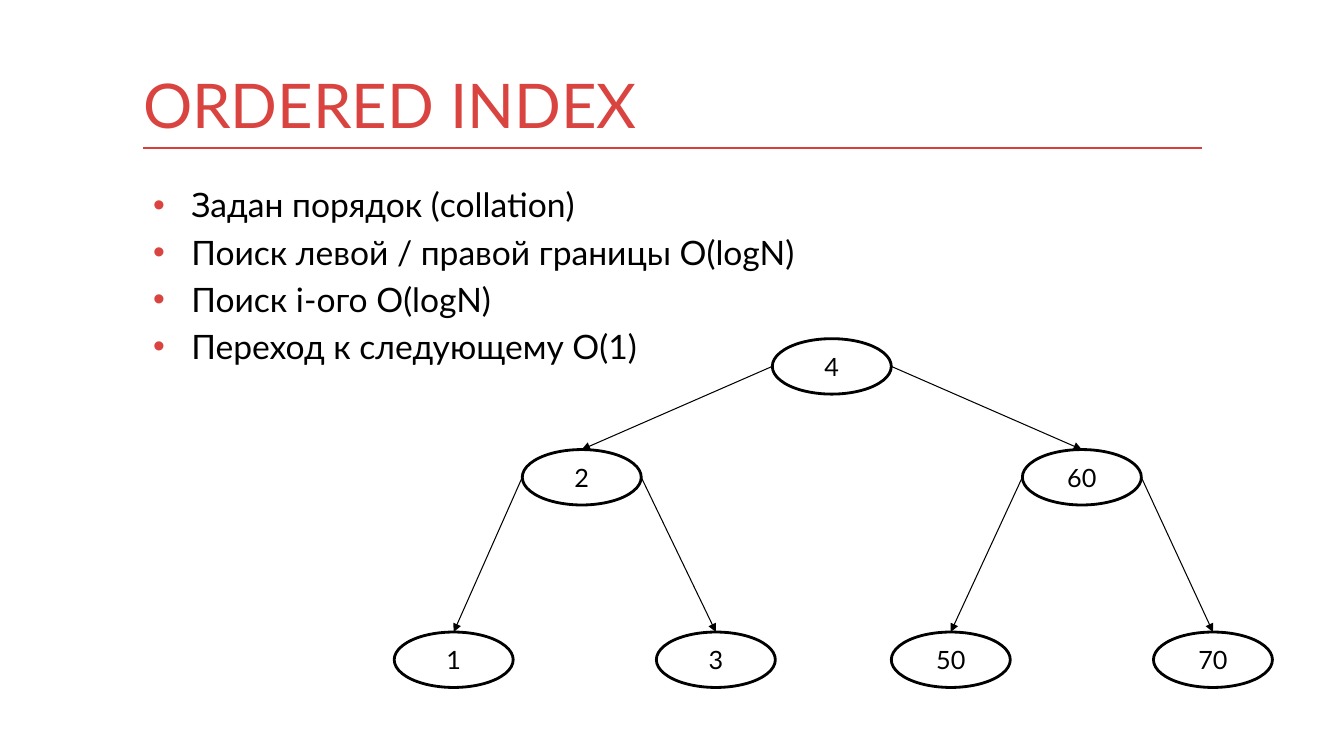
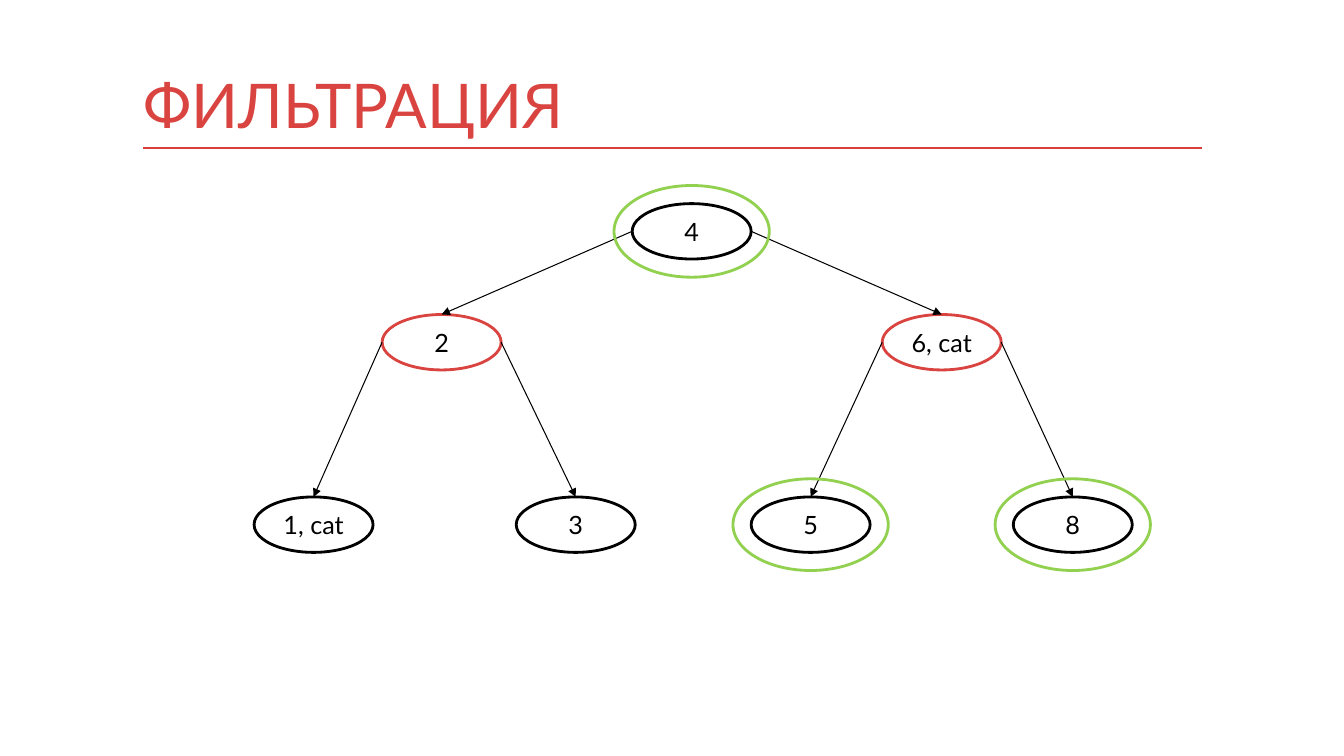
import lxml.etree
import pptx
import pptx.dml.color
import pptx.enum.shapes
import pptx.enum.text
import pptx.oxml.ns
import pptx.util

Inches = pptx.util.Inches
Pt = pptx.util.Pt
Align = pptx.enum.text.PP_ALIGN
Anchor = pptx.enum.text.MSO_ANCHOR

BLACK, WHITE, RED, RULE, GREEN = "000000", "FFFFFF", "D94440", "D83F3B", "92D050"
FONT = "Lato"
LEFT, WIDTH = 1.42, 10.5
NODE_W, NODE_H, RING = 1.18, 0.55, 0.18

SPOTS = [(3.75, 0), (1.27, 1.1), (6.23, 1.1),
         (0, 2.91), (2.6, 2.91), (4.93, 2.91), (7.53, 2.91)]

TITLE = {"word_wrap": True, "vertical_anchor": Anchor.BOTTOM,
         "margin_left": 0, "margin_right": 0,
         "margin_top": Inches(0.07), "margin_bottom": Inches(0.07)}
BODY = {"word_wrap": True, "vertical_anchor": Anchor.TOP}
LABEL = {"word_wrap": True, "vertical_anchor": Anchor.MIDDLE}


def paint(color, code):
    """Give a colour object the RGB value of a hex string."""
    color.rgb = pptx.dml.color.RGBColor.from_string(code)


def apply(target, values):
    """Set each named value on the target."""
    for name, value in values.items():
        setattr(target, name, value)


def add_xml(parent, tag, **attrs):
    """Append a drawing element and return it."""
    return lxml.etree.SubElement(parent, pptx.oxml.ns.qn(tag), attrs)


def write(frame, lines, size, code, form, para):
    """Fill a text frame with one styled paragraph per line."""
    apply(frame, form)
    for i, line in enumerate(lines):
        item = frame.add_paragraph() if i else frame.paragraphs[0]
        apply(item, para)
        run = item.add_run()
        run.text = line
        apply(run.font, {"size": Pt(size), "name": FONT})
        paint(run.font.color, code)


def add_line(slide, start, end, code, width, arrow=False):
    """Draw a straight line, with an arrowhead at its end if asked."""
    line = slide.shapes.add_connector(
        pptx.enum.shapes.MSO_CONNECTOR.STRAIGHT,
        *[Inches(v) for v in (*start, *end)])
    paint(line.line.color, code)
    line.line.width = Pt(width)
    if arrow:
        add_xml(line.line._get_or_add_ln(), "a:tailEnd", type="triangle")
    add_xml(line._element.spPr, "a:effectLst")


def add_oval(slide, box, code, fill=None):
    """Draw an outlined ellipse, hollow unless a fill is given."""
    oval = slide.shapes.add_shape(
        pptx.enum.shapes.MSO_SHAPE.OVAL, *[Inches(v) for v in box])
    oval.shadow.inherit = False
    if fill:
        oval.fill.solid()
        paint(oval.fill.fore_color, fill)
    else:
        oval.fill.background()
    paint(oval.line.color, code)
    oval.line.width = Pt(2)
    return oval


def add_text(slide, box, *style):
    """Place a text box and fill it."""
    area = slide.shapes.add_textbox(*[Inches(v) for v in box])
    write(area.text_frame, *style)
    return area.text_frame


def add_page(deck, title):
    """Add a blank slide with the shared title and rule."""
    slide = deck.slides.add_slide(deck.slide_layouts[6])
    add_line(slide, (LEFT, 1.47), (LEFT + WIDTH, 1.47), RULE, 1)
    add_text(slide, (LEFT, 0.6, WIDTH, 0.87), [title], 44, RED,
             TITLE, {"alignment": Align.LEFT})
    return slide


def add_list(slide, box, lines):
    """Place a list with red bullets and hanging indents."""
    frame = add_text(slide, box, lines, 24, BLACK, BODY,
                     {"alignment": Align.LEFT, "space_before": Pt(4.8)})
    indent = Inches(0.38)
    for item in frame.paragraphs:
        props = item._p.get_or_add_pPr()
        props.set("marL", str(indent))
        props.set("indent", str(-indent))
        add_xml(add_xml(props, "a:buClr"), "a:srgbClr", val=RED)
        add_xml(props, "a:buFont", typeface="Arial")
        add_xml(props, "a:buChar", char="•")


def add_tree(slide, left, top, labels, marked=(), ringed=()):
    """Draw a three-level binary tree from its top left corner."""
    spots = [(left + x, top + y) for x, y in SPOTS]
    for i, (x, y) in enumerate(spots):
        node = add_oval(slide, (x, y, NODE_W, NODE_H),
                        RED if i in marked else BLACK, WHITE)
        write(node.text_frame, [labels[i]], 18, BLACK, LABEL,
              {"alignment": Align.CENTER})
    for i in range(1, len(spots)):
        x, y = spots[(i - 1) // 2]
        side = 0 if i % 2 else NODE_W
        add_line(slide, (x + side, y + NODE_H / 2),
                 (spots[i][0] + NODE_W / 2, spots[i][1]), BLACK, 0.75, True)
    for i in ringed:
        x, y = spots[i]
        add_oval(slide, (x - RING, y - RING,
                         NODE_W + 2 * RING, NODE_H + 2 * RING), GREEN)


def add_index(deck):
    """Build the slide on the ordered index."""
    slide = add_page(deck, "ORDERED INDEX")
    add_list(slide, (LEFT, 1.78, WIDTH, 5.12), [
        "Задан порядок (collation)",
        "Поиск левой / правой границы O(logN)",
        "Поиск i-ого O(logN)",
        "Переход к следующему O(1)"])
    add_tree(slide, 3.91, 3.36, ["4", "2", "60", "1", "3", "50", "70"])


def add_filter(deck):
    """Build the slide on filtering."""
    slide = add_page(deck, "ФИЛЬТРАЦИЯ")
    add_tree(slide, 2.52, 2.02, ["4", "2", "6, cat", "1, cat", "3", "5", "8"],
             marked=(1, 2), ringed=(0, 5, 6))


def main():
    """Build and save the deck."""
    deck = pptx.Presentation()
    apply(deck, {"slide_width": Inches(13.33), "slide_height": Inches(7.5)})
    add_index(deck)
    add_filter(deck)
    deck.save("out.pptx")


if __name__ == "__main__":
    main()
